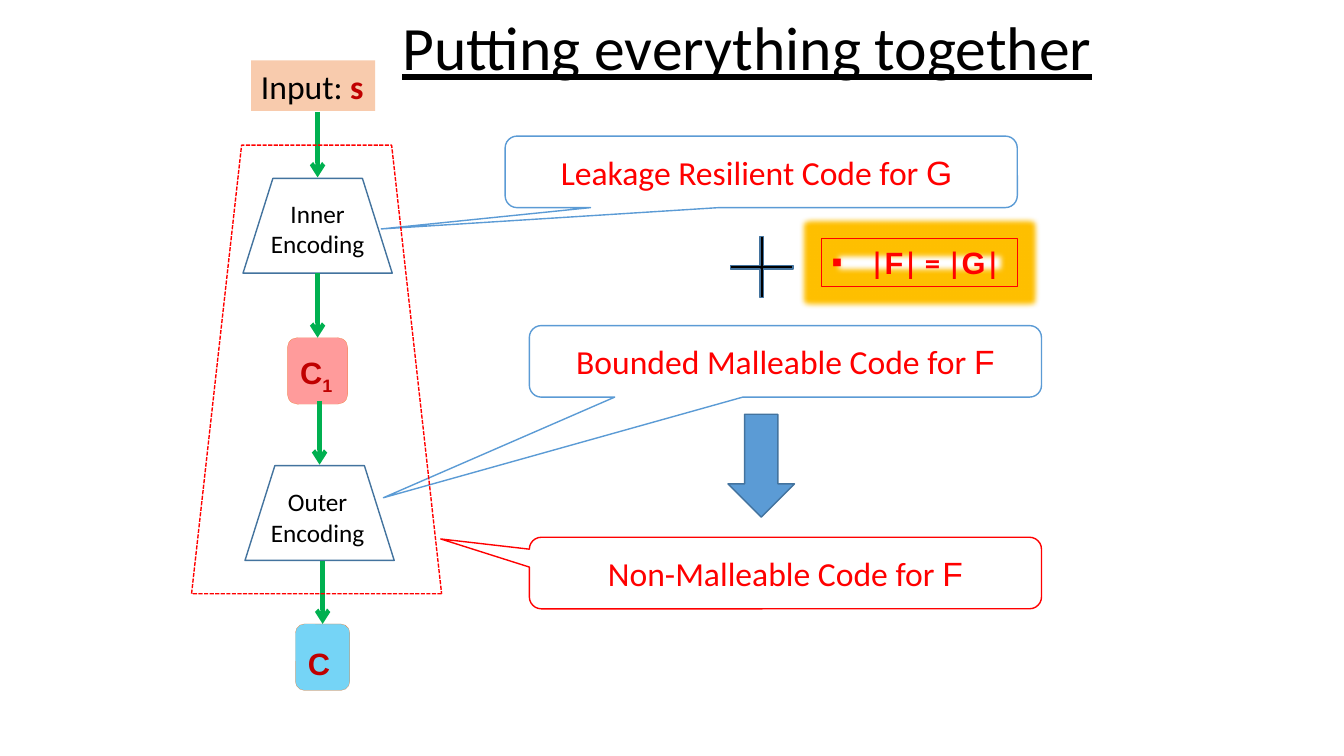
from lxml import etree
from pptx import Presentation, util as u
from pptx.dml.color import RGBColor
from pptx.enum import dml, shapes, text
from pptx.oxml.ns import qn

COLORS = {
    "black": "000000", "red": "FF0000", "dark red": "C00000", "green": "00B050",
    "blue": "5B9BD5", "navy": "43739E", "orange": "ED7D31", "peach": "F8CBAD",
    "pink": "FF6161", "sky": "00B0F0", "gold": "FFC000",
}
SHAPE = shapes.MSO_SHAPE
LEFT, CENTER = text.PP_ALIGN.LEFT, text.PP_ALIGN.CENTER
TOP, MIDDLE = text.MSO_ANCHOR.TOP, text.MSO_ANCHOR.MIDDLE


def color(name):
    return RGBColor.from_string(COLORS[name])


class Diagram:
    """Holds the slide and draws each kind of element in one style."""

    def __init__(self, page):
        self.page = page

    def title(self, words, box):
        holder = self.page.shapes.title
        holder.left, holder.top, holder.width, holder.height = map(u.Inches, box)
        self.set_text(holder, [[(words, {})]], 44, align=LEFT)
        para = holder.text_frame.paragraphs[0]
        para.line_spacing = 0.9
        para.font.underline = True

    def set_text(self, shape, lines, size, ink="black", font="Calibri", bold=None,
                 align=CENTER, anchor=MIDDLE, wrap=True):
        """Fill a shape; each line is a list of (words, differing style) spans."""
        frame = shape.text_frame
        frame.word_wrap = wrap
        frame.vertical_anchor = anchor
        for index, spans in enumerate(lines):
            para = frame.add_paragraph() if index else frame.paragraphs[0]
            para.alignment = align
            para.font.size = u.Pt(size)
            para.font.name = font
            para.font.bold = bold
            para.font.color.rgb = color(ink)
            for words, style in spans:
                span = para.add_run()
                span.text = words
                if "font" in style:
                    span.font.name = style["font"]
                if "ink" in style:
                    span.font.color.rgb = color(style["ink"])
                if "bold" in style:
                    span.font.bold = style["bold"]
                if "baseline" in style:
                    span.font._element.set("baseline", str(style["baseline"]))

    def shape(self, kind, box, fill=None, line=None, width=1, alpha=None,
              adjust=(), turn=0):
        shape = self.page.shapes.add_shape(kind, *map(u.Inches, box))
        shape.shadow.inherit = False
        shape.rotation = turn
        for index, value in enumerate(adjust):
            shape.adjustments[index] = value
        if fill:
            shape.fill.solid()
            shape.fill.fore_color.rgb = color(fill)
            if alpha:
                tint = shape._element.spPr.find(f".//{qn('a:srgbClr')}")
                etree.SubElement(tint, qn("a:alpha"), val=str(alpha * 1000))
        else:
            shape.fill.background()
        if line:
            shape.line.color.rgb = color(line)
            shape.line.width = u.Pt(width)
        else:
            shape.line.fill.background()
        return shape

    def trapezoid(self, box, line="navy"):
        return self.shape(SHAPE.FLOWCHART_MANUAL_OPERATION, box, line=line, turn=180)

    def encoder(self, box, label_top, lines):
        self.trapezoid(box)
        label = self.page.shapes.add_textbox(
            *map(u.Inches, (2.48, label_top, 1.34, 0.71)))
        self.set_text(label, [[(words, {})] for words in lines], 18, anchor=TOP)

    def codeword(self, box, fill, alpha, subscript=""):
        shape = self.shape(SHAPE.ROUNDED_RECTANGLE, box, fill, "orange", 0.14, alpha)
        spans = [("C", {})]
        if subscript:
            spans.append((subscript, {"baseline": -25000}))
        self.set_text(shape, [spans], 22, "dark red", "Arial", True, LEFT, TOP)
        shape.text_frame.paragraphs[0].line_spacing = u.Pt(36)
        return shape

    def arrow(self, x, top, bottom, target=None):
        line = self.page.shapes.add_connector(
            shapes.MSO_CONNECTOR.STRAIGHT, *map(u.Inches, (x, top, x, bottom)))
        line.line.color.rgb = color("green")
        line.line.width = u.Pt(3.14)
        outline = line._element.spPr.find(qn("a:ln"))
        etree.SubElement(outline, qn("a:tailEnd"), type="arrow")
        etree.SubElement(line._element.spPr, qn("a:effectLst"))
        if target:
            line.end_connect(target, 0)

    def callout(self, left, top, tip, words, symbol, line="blue"):
        shape = self.shape(SHAPE.ROUNDED_RECTANGULAR_CALLOUT, (left, top, 5.08, 0.71),
                           line=line, adjust=(*tip, 0.167))
        self.set_text(shape, [[(words, {}), (symbol, {"font": "Arial"})]], 24, "red")

    def glowing_bullet(self, box, spans):
        shape = self.shape(SHAPE.RECTANGLE, box, line="red", width=0.75)
        effects = shape._element.spPr.find(qn("a:effectLst"))
        glow = etree.SubElement(effects, qn("a:glow"), rad=str(u.Pt(8)))
        etree.SubElement(glow, qn("a:srgbClr"), val=COLORS["gold"])
        props = shape.text_frame.paragraphs[0]._p.get_or_add_pPr()
        props.set("marL", str(u.Inches(0.38)))
        props.set("indent", str(u.Inches(-0.38)))
        etree.SubElement(props, qn("a:buFont"), typeface="Arial")
        etree.SubElement(props, qn("a:buChar"), char="▪")
        self.set_text(shape, [spans], 22, "red", bold=True, align=LEFT, anchor=TOP)


def main():
    deck = Presentation()
    deck.slide_width, deck.slide_height = u.Inches(13.33), u.Inches(7.5)
    page = deck.slides.add_slide(deck.slide_layouts.get_by_name("Title Only"))
    diagram = Diagram(page)
    diagram.title("Putting everything together", (3.89, -0.12, 9, 1.25))

    source = diagram.shape(SHAPE.RECTANGLE, (2.49, 0.6, 1.23, 0.5), "peach")
    diagram.set_text(source, [[("Input: ", {}), ("s", {"ink": "dark red", "bold": True})]],
                     24, align=LEFT, anchor=TOP, wrap=False)
    diagram.encoder((2.41, 1.77, 1.48, 0.94), 1.92, ["Inner Encoding"])
    diagram.arrow(3.15, 1.11, 1.76)
    inner_code = diagram.codeword((2.85, 3.35, 0.6, 0.66), "pink", 63, "1")
    diagram.arrow(3.15, 2.71, 3.35, inner_code)
    diagram.encoder((2.43, 4.62, 1.48, 0.94), 4.78, ["Outer", "Encoding"])
    diagram.arrow(3.17, 3.98, 4.61)
    final_code = diagram.codeword((2.93, 6.19, 0.54, 0.66), "sky", 54)
    diagram.arrow(3.2, 5.57, 6.19, final_code)

    diagram.callout(5.25, 3.23, (-0.785, 1.906), "Bounded Malleable Code for ", "F")
    diagram.callout(5.01, 1.35, (-0.742, 0.798), "Leakage Resilient Code for ", "G ")
    diagram.shape(SHAPE.MATH_PLUS, (7.13, 2.24, 0.85, 0.82), "black", "navy",
                  adjust=(0.046,))
    diagram.shape(SHAPE.DOWN_ARROW, (7.22, 4.11, 0.66, 1.02), "blue", "navy")
    whole = diagram.trapezoid((1.9, 1.44, 2.48, 4.45), "red")
    whole.line.dash_style = dml.MSO_LINE.SQUARE_DOT
    diagram.callout(5.25, 5.33, (-0.673, -0.476), "Non-Malleable Code for ", "F", "red")
    arial = {"font": "Arial"}
    diagram.glowing_bullet((8.15, 2.37, 1.94, 0.47), [
        ("|", {}), ("F", arial), ("| = |", {}), ("G", arial), ("|", {})])

    deck.save("out.pptx")


if __name__ == "__main__":
    main()
